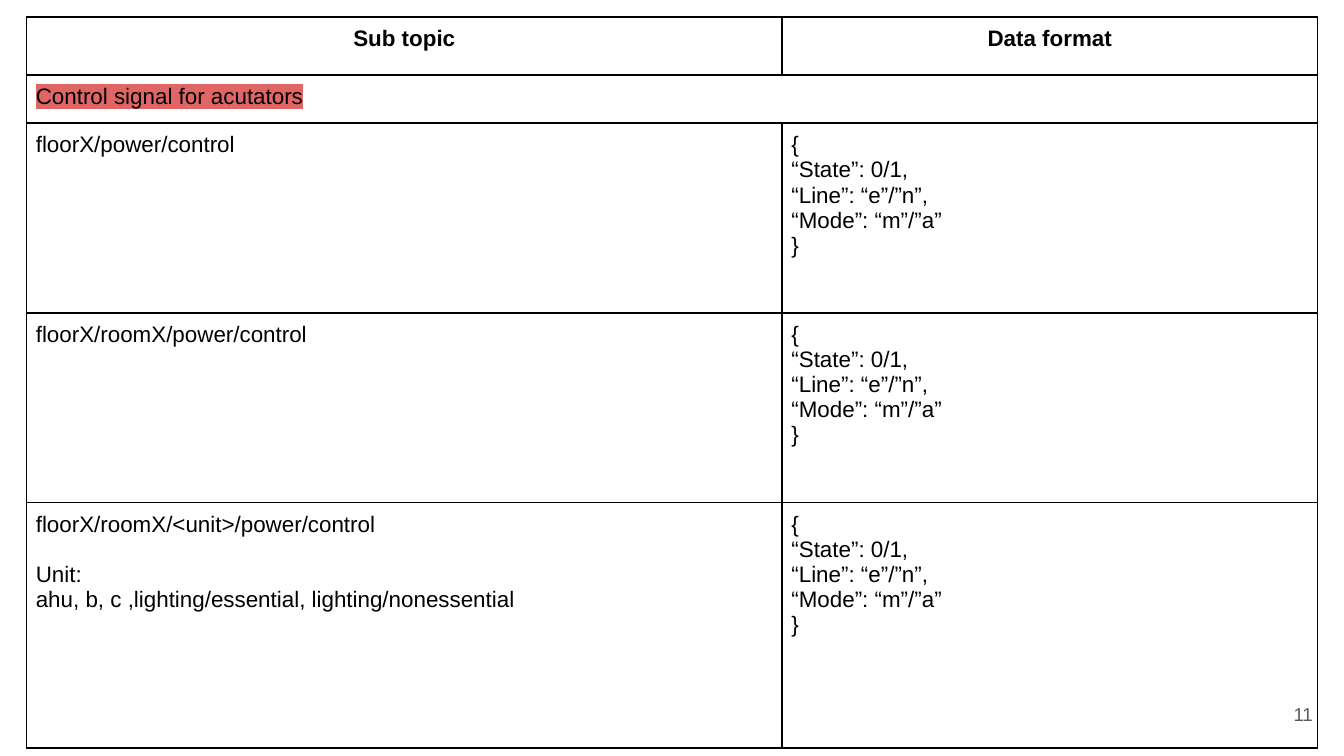
from dataclasses import dataclass

from lxml import etree
from pptx import Presentation
from pptx.dml.color import RGBColor
from pptx.enum.text import MSO_ANCHOR, PP_ALIGN
from pptx.oxml.ns import qn
from pptx.util import Pt

LEFT, CENTER, RIGHT = PP_ALIGN.LEFT, PP_ALIGN.CENTER, PP_ALIGN.RIGHT
TOP, MIDDLE = MSO_ANCHOR.TOP, MSO_ANCHOR.MIDDLE
BLANK_LAYOUT = 6


@dataclass(frozen=True)
class Theme:
    font: str = "Arial"
    ink: str = "000000"
    muted: str = "595959"
    alert: str = "E06666"
    body_size: float = 12
    number_size: float = 10
    border: float = 1
    cell_inset: float = 5
    paragraph_gap: float = 13.4


def add_color(parent, color):
    fill = etree.SubElement(parent, qn("a:solidFill"))
    etree.SubElement(fill, qn("a:srgbClr"), val=color)


def write(frame, text, *, font, size, color, bold=False, align=LEFT,
          highlight=None, gaps=None):
    for index, line in enumerate(text.split("\n")):
        paragraph = frame.paragraphs[0] if index == 0 else frame.add_paragraph()
        paragraph.alignment = align
        if gaps and index in gaps:
            paragraph.space_before = Pt(gaps[index])
        run = paragraph.add_run()
        run.text = line
        run.font.name = font
        run.font.size = Pt(size)
        run.font.bold = bold
        run.font.color.rgb = RGBColor.from_string(color)
        if highlight:
            marker = etree.Element(qn("a:highlight"))
            etree.SubElement(marker, qn("a:srgbClr"), val=highlight)
            run.font._element.find(qn("a:solidFill")).addnext(marker)


class SlideBuilder:
    def __init__(self, slide, theme):
        self.slide = slide
        self.theme = theme

    def page_number(self, text, left, top, width, height):
        box = self.slide.shapes.add_textbox(Pt(left), Pt(top), Pt(width), Pt(height))
        frame = box.text_frame
        frame.word_wrap = True
        frame.vertical_anchor = MIDDLE
        frame.margin_left = frame.margin_right = Pt(7.2)
        frame.margin_top = frame.margin_bottom = Pt(7.2)
        write(frame, text, font=self.theme.font, size=self.theme.number_size,
              color=self.theme.muted, align=RIGHT)

    def table(self, left, top, widths, heights):
        table = self.slide.shapes.add_table(
            len(heights), len(widths), Pt(left), Pt(top),
            Pt(sum(widths)), Pt(sum(heights))).table
        table.first_row = table.horz_banding = False
        for column, width in zip(table.columns, widths):
            column.width = Pt(width)
        for row, height in zip(table.rows, heights):
            row.height = Pt(height)
        for cell in table.iter_cells():
            self.style_cell(cell)
        return table

    def style_cell(self, cell):
        inset = Pt(self.theme.cell_inset)
        cell.margin_left = cell.margin_right = inset
        cell.margin_top = cell.margin_bottom = inset
        cell.vertical_anchor = TOP
        cell.fill.background()
        properties = cell._tc.get_or_add_tcPr()
        for position, side in enumerate(("lnL", "lnR", "lnT", "lnB")):
            line = etree.Element(qn(f"a:{side}"), w=str(Pt(self.theme.border)))
            add_color(line, self.theme.ink)
            properties.insert(position, line)

    def cell_text(self, cell, text, **style):
        write(cell.text_frame, text, font=self.theme.font,
              size=self.theme.body_size, color=self.theme.ink, **style)


def main():
    presentation = Presentation()
    presentation.slide_width = Pt(720)
    presentation.slide_height = Pt(405)
    theme = Theme()
    slide = presentation.slides.add_slide(presentation.slide_layouts[BLANK_LAYOUT])
    builder = SlideBuilder(slide, theme)

    builder.page_number("11", 667.2, 367.2, 43.2, 31)

    topics = builder.table(14.2, 9.2, (404.8, 286.8), (31, 25.8, 101.6, 101.6, 131.6))
    for column, heading in enumerate(("Sub topic", "Data format")):
        builder.cell_text(topics.cell(0, column), heading, bold=True, align=CENTER)

    section = topics.cell(1, 0)
    section.merge(topics.cell(1, 1))
    builder.cell_text(section, "Control signal for acutators", highlight=theme.alert)

    payload = "{\n“State”: 0/1,\n“Line”: “e”/”n”,\n“Mode”: “m”/”a”\n}"
    sub_topics = (
        "floorX/power/control",
        "floorX/roomX/power/control",
        "floorX/roomX/<unit>/power/control\nUnit:\n"
        "ahu, b, c ,lighting/essential, lighting/nonessential",
    )
    for row, sub_topic in enumerate(sub_topics, start=2):
        builder.cell_text(topics.cell(row, 0), sub_topic, gaps={1: theme.paragraph_gap})
        builder.cell_text(topics.cell(row, 1), payload)

    presentation.save("out.pptx")


if __name__ == "__main__":
    main()
